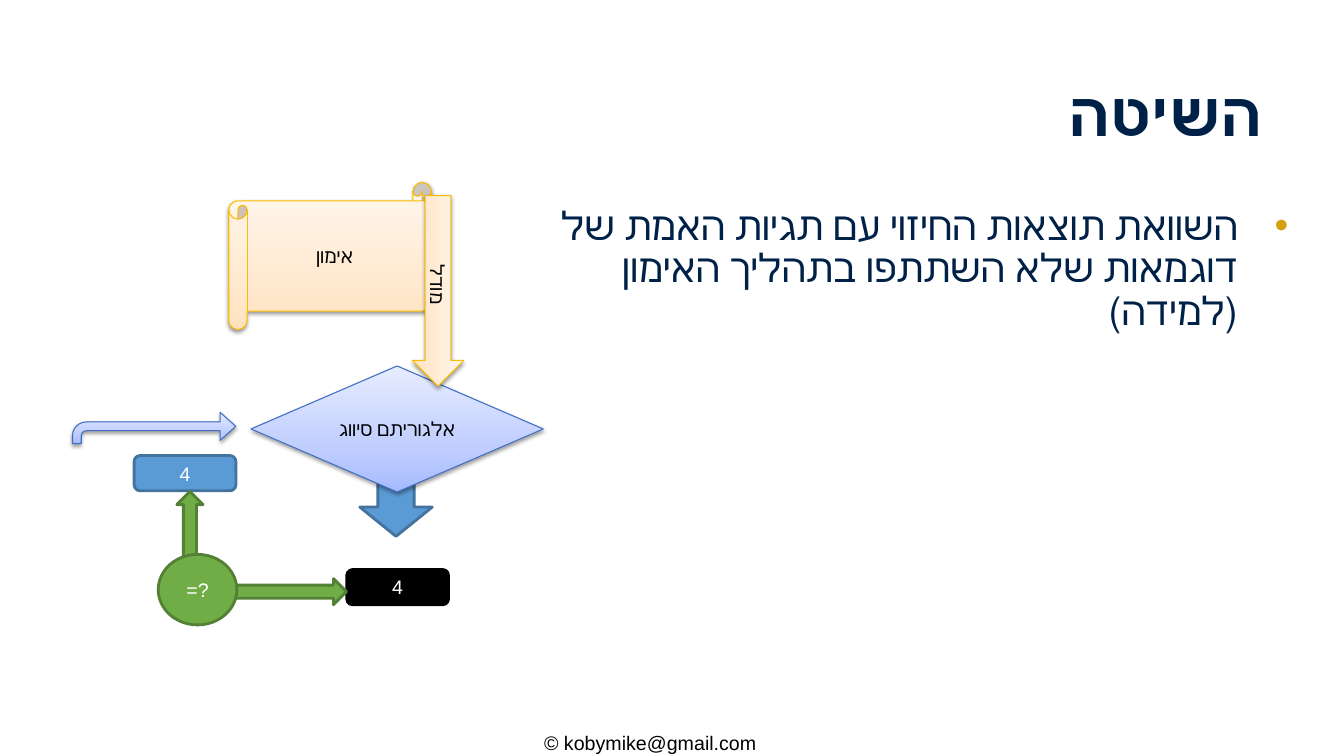
from lxml import etree
from pptx import Presentation
from pptx.dml.color import RGBColor
from pptx.enum.shapes import MSO_SHAPE
from pptx.enum.text import MSO_ANCHOR, MSO_AUTO_SIZE, PP_ALIGN
from pptx.oxml.ns import qn
from pptx.util import Pt

CENTER, RIGHT = PP_ALIGN.CENTER, PP_ALIGN.RIGHT
TOP, MIDDLE = MSO_ANCHOR.TOP, MSO_ANCHOR.MIDDLE
NO_AUTOFIT = MSO_AUTO_SIZE.NONE
DOWN_ARROW, RIGHT_ARROW = MSO_SHAPE.DOWN_ARROW, MSO_SHAPE.RIGHT_ARROW
BENT_ARROW, SCROLL = MSO_SHAPE.BENT_ARROW, MSO_SHAPE.HORIZONTAL_SCROLL
DECISION, ELLIPSE = MSO_SHAPE.FLOWCHART_DECISION, MSO_SHAPE.OVAL
ROUNDED = MSO_SHAPE.ROUNDED_RECTANGLE

NAVY = RGBColor(0x00, 0x21, 0x47)
GOLD = RGBColor(0xD5, 0x9F, 0x0E)
BLACK = RGBColor(0x00, 0x00, 0x00)
WHITE = RGBColor(0xFF, 0xFF, 0xFF)
BLUE = RGBColor(0x5B, 0x9B, 0xD5)
DARK_BLUE = RGBColor(0x43, 0x73, 0x9E)
GREEN = RGBColor(0x70, 0xAD, 0x47)
DARK_GREEN = RGBColor(0x53, 0x80, 0x35)
INDIGO = RGBColor(0x3F, 0x6F, 0xC3)
AMBER = RGBColor(0xF9, 0xBC, 0x00)
LAVENDER = [RGBColor(0xA6, 0xBB, 0xFF), RGBColor(0xC0, 0xCE, 0xFF), RGBColor(0xE7, 0xEC, 0xFF)]
PEACH = [RGBColor(0xFF, 0xE2, 0xBD), RGBColor(0xFF, 0xEA, 0xD1), RGBColor(0xFF, 0xF7, 0xEE)]


def add_color(parent, color):
    return etree.SubElement(parent, qn("a:srgbClr"), val=str(color))


def write(frame, text, size, font, color, align):
    frame.text = text
    frame.word_wrap = True
    frame.auto_size = NO_AUTOFIT
    paragraph = frame.paragraphs[0]
    paragraph.alignment = align
    run = paragraph.runs[0]
    run.font.size = Pt(size)
    run.font.name = font
    run.font.color.rgb = color
    return paragraph


prs = Presentation()
prs.slide_width, prs.slide_height = Pt(960), Pt(540)
slide = prs.slides.add_slide(prs.slide_layouts[1])

copyright_line = slide.shapes.add_textbox(Pt(381.6), Pt(518.4), Pt(196.6), Pt(28.8))
write(copyright_line.text_frame, "© kobymike@gmail.com", 14, "Arial", BLACK, PP_ALIGN.LEFT)

flow_steps = [
    (DOWN_ARROW, (257, 341.3, 51.8, 41.8), 0, BLUE, DARK_BLUE, ""),
    (DECISION, (179.3, 261.4, 208.8, 90), 0, LAVENDER, INDIGO, "אלגוריתם סיווג"),
    (SCROLL, (163.4, 130.3, 144.7, 105.1), 0, PEACH, AMBER, "אימון"),
    (RIGHT_ARROW, (244.8, 189.4, 136.1, 36.7), 90, PEACH, AMBER, "מודל"),
    (ROUNDED, (95.8, 325.4, 72.7, 25.2), 0, BLUE, DARK_BLUE, "4"),
    (BENT_ARROW, (51.8, 294.5, 116.6, 22.3), 0, LAVENDER, INDIGO, ""),
    (ROUNDED, (247.7, 406.8, 72.7, 25.2), 0, BLACK, BLACK, "4"),
    (RIGHT_ARROW, (163.4, 413.3, 84.2, 18.7), 0, GREEN, DARK_GREEN, ""),
    (RIGHT_ARROW, (93.6, 383.8, 84.2, 18.7), 270, GREEN, DARK_GREEN, ""),
    (ELLIPSE, (113, 396, 56.2, 50.4), 0, GREEN, DARK_GREEN, "=?"),
]
for kind, box, rotation, fill, outline, label in flow_steps:
    step = slide.shapes.add_shape(kind, *map(Pt, box))
    step.rotation = rotation
    step.shadow.inherit = False
    step.line.color.rgb = outline
    shaded = isinstance(fill, list)
    step.line.width = Pt(0.75 if shaded else 2)
    if shaded:
        step.fill.gradient()
        step.fill.gradient_angle = 90
        properties = step.element.spPr
        stops = properties.find(".//" + qn("a:gsLst"))
        for stop in list(stops):
            stops.remove(stop)
        for position, color in zip((0, 35000, 100000), fill):
            add_color(etree.SubElement(stops, qn("a:gs"), pos=str(position)), color)
        glow = etree.SubElement(
            properties.find(qn("a:effectLst")), qn("a:outerShdw"),
            blurRad=str(Pt(3.1)), dist=str(Pt(1.6)), dir="5400000", rotWithShape="0")
        etree.SubElement(add_color(glow, BLACK), qn("a:alpha"), val="38000")
    else:
        step.fill.solid()
        step.fill.fore_color.rgb = fill
    if kind == BENT_ARROW:
        for index, value in enumerate((0.28, 0.45, 0.5, 0.44)):
            step.adjustments[index] = value
    if label:
        write(step.text_frame, label, 14, "Arial", BLACK if shaded else WHITE, CENTER)
        step.text_frame.vertical_anchor = MIDDLE

title, body = slide.placeholders
body_text = "השוואת תוצאות החיזוי עם תגיות האמת של דוגמאות שלא השתתפו בתהליך האימון (למידה)"
hebrew_texts = [
    (title, (27.4, 28.8, 900, 108.7), "השיטה", 44, MIDDLE, -18),
    (body, (369.4, 144, 558, 298), body_text, 28, TOP, -36),
]
for holder, box, text, size, anchor, indent in hebrew_texts:
    holder.left, holder.top, holder.width, holder.height = map(Pt, box)
    paragraph = write(holder.text_frame, text, size, "Karla", NAVY, RIGHT)
    holder.text_frame.vertical_anchor = anchor
    layout = paragraph._p.get_or_add_pPr()
    layout.set("rtl", "1")
    layout.set("marL", str(Pt(36)))
    layout.set("indent", str(Pt(indent)))
    if holder is body:
        add_color(etree.SubElement(layout, qn("a:buClr")), GOLD)
        etree.SubElement(layout, qn("a:buFont"), typeface="Arial")
        etree.SubElement(layout, qn("a:buChar"), char="•")
    paragraph.line_spacing = 0.9
    paragraph.space_before = Pt(0)
    paragraph.runs[0].font.bold = holder is title

prs.save("out.pptx")
